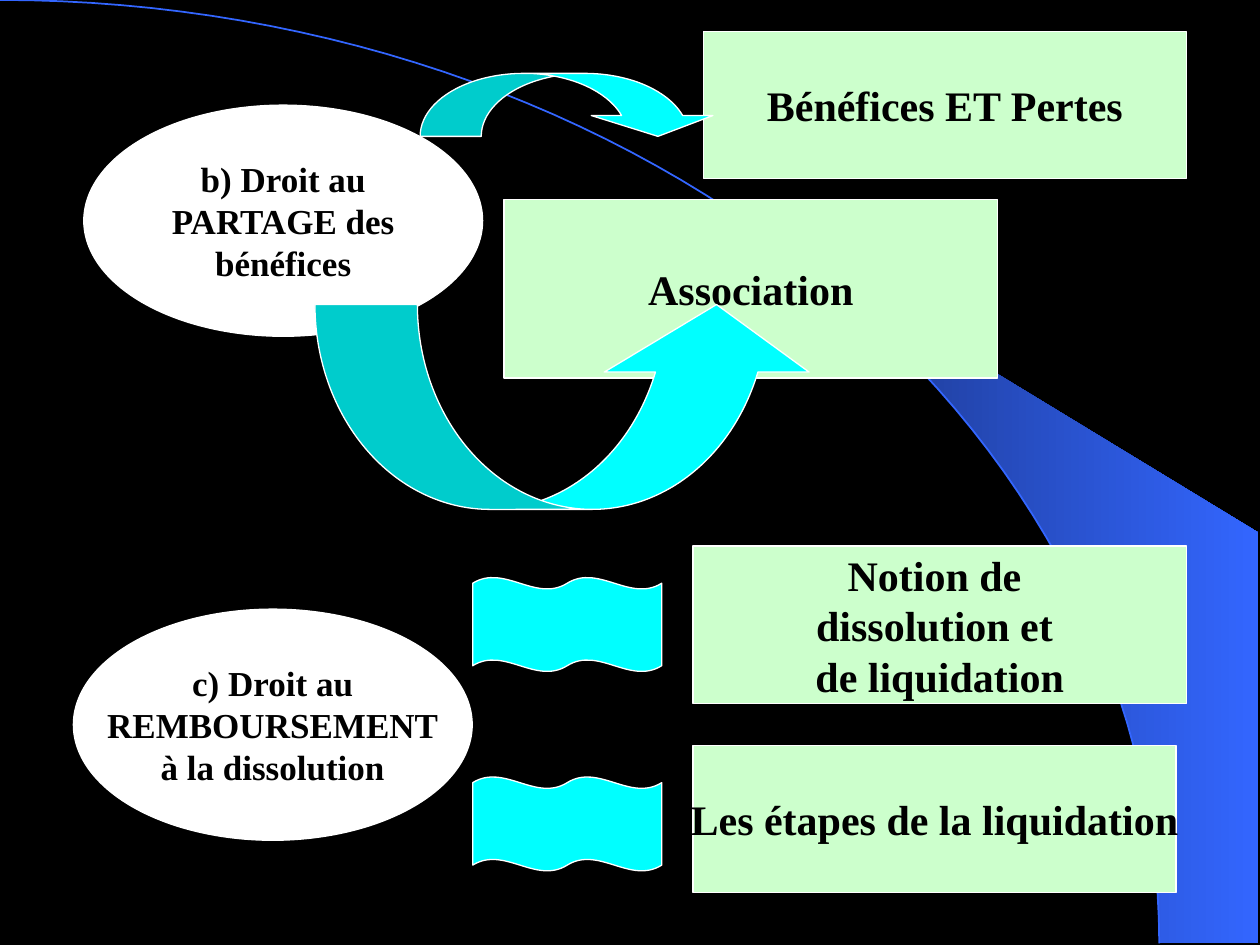
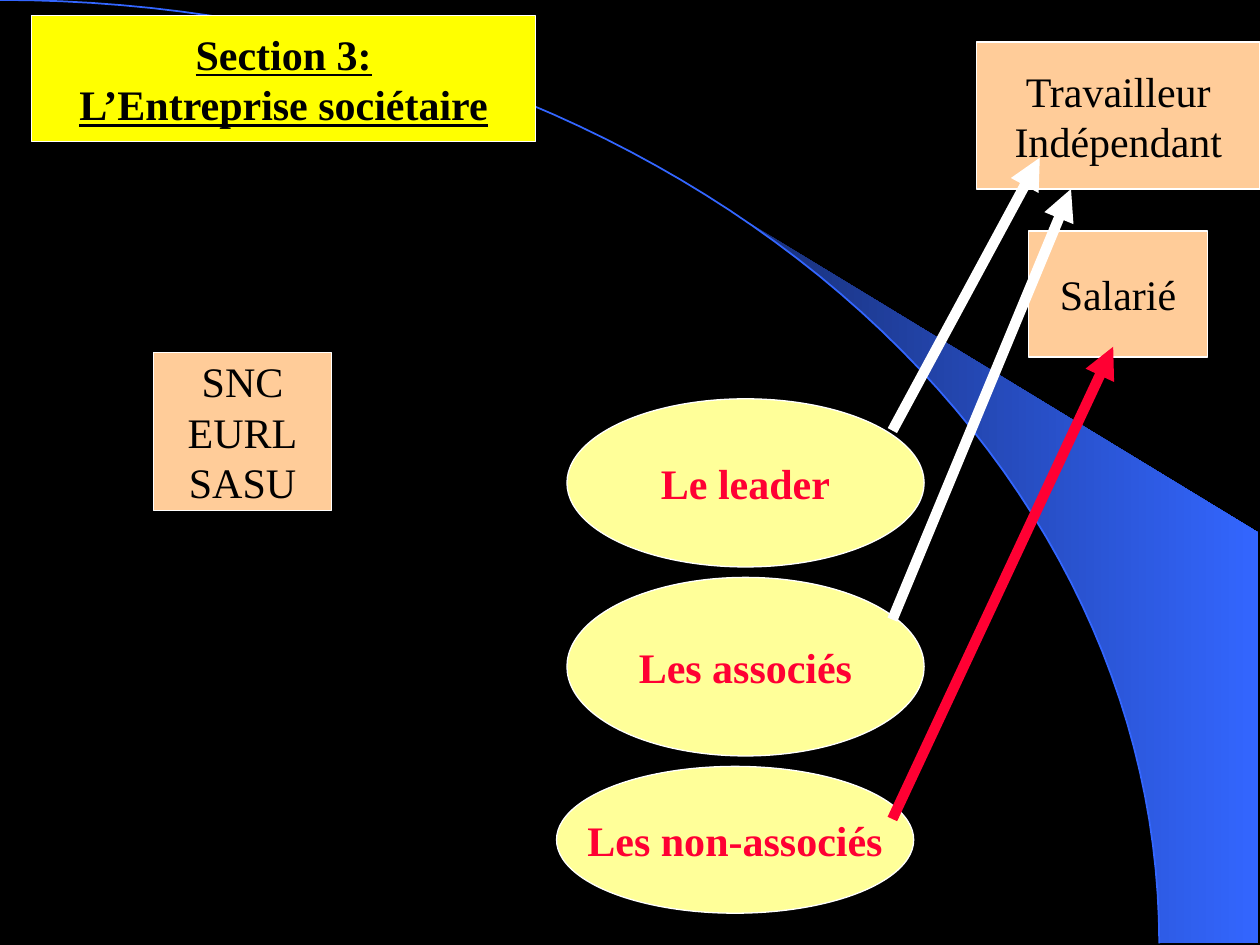
from math import asin, cos, pi, sin

from lxml.etree import SubElement
from pptx import Presentation
from pptx.dml.color import RGBColor
from pptx.enum.shapes import MSO_CONNECTOR, MSO_SHAPE
from pptx.enum.text import MSO_ANCHOR, PP_ALIGN
from pptx.oxml.ns import qn
from pptx.util import Cm, Pt

BLACK = RGBColor(0x00, 0x00, 0x00)
WHITE = RGBColor(0xFF, 0xFF, 0xFF)
NAVY = RGBColor(0x18, 0x2F, 0x76)
BLUE = RGBColor(0x33, 0x66, 0xFF)
CYAN = RGBColor(0x00, 0xFF, 0xFF)
MINT = RGBColor(0xCC, 0xFF, 0xCC)
YELLOW = RGBColor(0xFF, 0xFF, 0x00)
CREAM = RGBColor(0xFF, 0xFF, 0x99)
PEACH = RGBColor(0xFF, 0xCC, 0x99)
RED = RGBColor(0xFF, 0x00, 0x33)

FONT = "Times New Roman"
PAGE_WIDTH, PAGE_HEIGHT = 25.4, 19.05
ARC_WIDTH, ARC_HEIGHT = 23.37, 19.02
WEDGE_LEFT = 14.96
WEDGE_RIGHT_TOP = 10.74


def arc_points(start_angle, steps=60):
    """Points of the quarter ellipse, from start_angle down to the bottom edge."""
    angles = [start_angle + (pi / 2 - start_angle) * step / steps
              for step in range(steps + 1)]
    return [(ARC_WIDTH * sin(angle), ARC_HEIGHT * (1 - cos(angle)))
            for angle in angles]


class Slides:
    """Holds the deck, its shared style and the page being filled."""

    def __init__(self):
        self.deck = Presentation()
        self.deck.slide_width = Cm(PAGE_WIDTH)
        self.deck.slide_height = Cm(PAGE_HEIGHT)
        background = self.deck.slide_master.background.fill
        background.solid()
        background.fore_color.rgb = BLACK
        self.page = None

    def new_page(self):
        self.page = self.deck.slides.add_slide(self.deck.slide_layouts[6])
        self.add_wedge()
        self.add_arc()

    def add_outline(self, points, close):
        points = [(Cm(x), Cm(y)) for x, y in points]
        builder = self.page.shapes.build_freeform(*points[0])
        builder.add_line_segments(points[1:], close=close)
        outline = builder.convert_to_shape()
        outline.shadow.inherit = False
        return outline

    def add_wedge(self):
        right = PAGE_WIDTH - 0.03
        corners = [(right, ARC_HEIGHT), (right, WEDGE_RIGHT_TOP)]
        curve = arc_points(asin(WEDGE_LEFT / ARC_WIDTH))
        wedge = self.add_outline(curve + corners, close=True)
        wedge.fill.gradient()
        wedge.fill.gradient_angle = 0
        for stop, color, position in zip(wedge.fill.gradient_stops, (NAVY, BLUE), (0, 1)):
            stop.color.rgb = color
            stop.position = position
        wedge.line.fill.background()

    def add_arc(self):
        arc = self.add_outline(arc_points(0), close=False)
        arc.fill.background()
        arc.line.color.rgb = BLUE
        arc.line.width = Pt(1)

    def add_figure(self, preset, left, top, width, height, fill, adjustments=()):
        figure = self.page.shapes.add_shape(
            preset, Cm(left), Cm(top), Cm(width), Cm(height))
        figure.shadow.inherit = False
        figure.fill.solid()
        figure.fill.fore_color.rgb = fill
        figure.line.color.rgb = WHITE
        figure.line.width = Pt(0.75)
        for index, value in enumerate(adjustments):
            figure.adjustments[index] = value
        return figure

    def add_label(self, preset, place, fill, lines, size=24, color=BLACK,
                  bold=True, underline=False):
        """Add a filled shape with one centred paragraph per line."""
        frame = self.add_figure(preset, *place, fill).text_frame
        frame.word_wrap = False
        frame.vertical_anchor = MSO_ANCHOR.MIDDLE
        for index, line in enumerate(lines):
            para = frame.add_paragraph() if index else frame.paragraphs[0]
            para.alignment = PP_ALIGN.CENTER
            span = para.add_run()
            span.text = line
            span.font.name = FONT
            span.font.size = Pt(size)
            span.font.bold = bold
            span.font.underline = underline
            span.font.color.rgb = color

    def add_box(self, place, fill, *lines, **style):
        self.add_label(MSO_SHAPE.RECTANGLE, place, fill, lines, **style)

    def add_oval(self, place, fill, *lines, **style):
        self.add_label(MSO_SHAPE.OVAL, place, fill, lines, **style)

    def add_arrow(self, start, end, color):
        arrow = self.page.shapes.add_connector(
            MSO_CONNECTOR.STRAIGHT, *map(Cm, start + end))
        arrow.line.color.rgb = color
        arrow.line.width = Pt(6)
        properties = arrow._element.spPr
        SubElement(properties.find(qn("a:ln")), qn("a:tailEnd"), type="triangle")
        SubElement(properties, qn("a:effectLst"))


def build_rights_page(slides):
    slides.new_page()
    slides.add_oval((1.69, 2.12, 8.04, 4.66), WHITE,
                    "b) Droit au", "PARTAGE des", "bénéfices", size=20)
    slides.add_oval((1.48, 12.28, 8.04, 4.66), WHITE,
                    "c) Droit au", "REMBOURSEMENT", "à la dissolution", size=20)
    slides.add_box((14.18, 0.64, 9.74, 2.96), MINT, "Bénéfices ET Pertes")
    slides.add_box((10.16, 4.02, 9.95, 3.6), MINT, "Association")
    slides.add_box((13.97, 11.01, 9.95, 3.18), MINT,
                   "Notion de ", "dissolution et ", "de liquidation")
    slides.add_box((13.97, 15.03, 9.74, 2.96), MINT, "Les étapes de la liquidation")
    slides.add_figure(MSO_SHAPE.CURVED_DOWN_ARROW, 8.47, 1.48, 6.02, 1.27, CYAN,
                      (0.97, 1.93, 0.33))
    slides.add_figure(MSO_SHAPE.CURVED_UP_ARROW, 6.35, 6.14, 10.16, 4.13, CYAN,
                      (0.5, 1, 0.33))
    for top in (11.64, 15.66):
        slides.add_figure(MSO_SHAPE.DOUBLE_WAVE, 9.53, top, 3.81, 1.9, CYAN)


def build_company_page(slides):
    slides.new_page()
    slides.add_box((0.64, 0.32, 10.16, 2.54), YELLOW,
                   "Section 3:", "L’Entreprise sociétaire", underline=True)
    members = [
        (11.43, 8.04, 3.39, "Le leader"),
        (11.43, 11.64, 3.6, "Les associés"),
        (11.22, 15.45, 2.96, "Les non-associés"),
    ]
    for left, top, height, name in members:
        slides.add_oval((left, top, 7.2, height), CREAM, name, color=RED)
    statuses = [
        ((3.09, 7.11, 3.6, 3.18), ("SNC", "EURL", "SASU")),
        ((19.69, 0.85, 5.71, 2.96), ("Travailleur", "Indépendant")),
        ((20.74, 4.66, 3.6, 2.54), ("Salarié",)),
    ]
    for place, lines in statuses:
        slides.add_box(place, PEACH, *lines, bold=False)
    arrows = [
        (8.68, (20.96, 3.18), WHITE),
        (12.49, (21.59, 3.81), WHITE),
        (16.51, (22.44, 6.99), RED),
    ]
    for start_top, end, color in arrows:
        slides.add_arrow((17.99, start_top), end, color)


def main():
    slides = Slides()
    build_rights_page(slides)
    build_company_page(slides)
    slides.deck.save("out.pptx")


if __name__ == "__main__":
    main()
